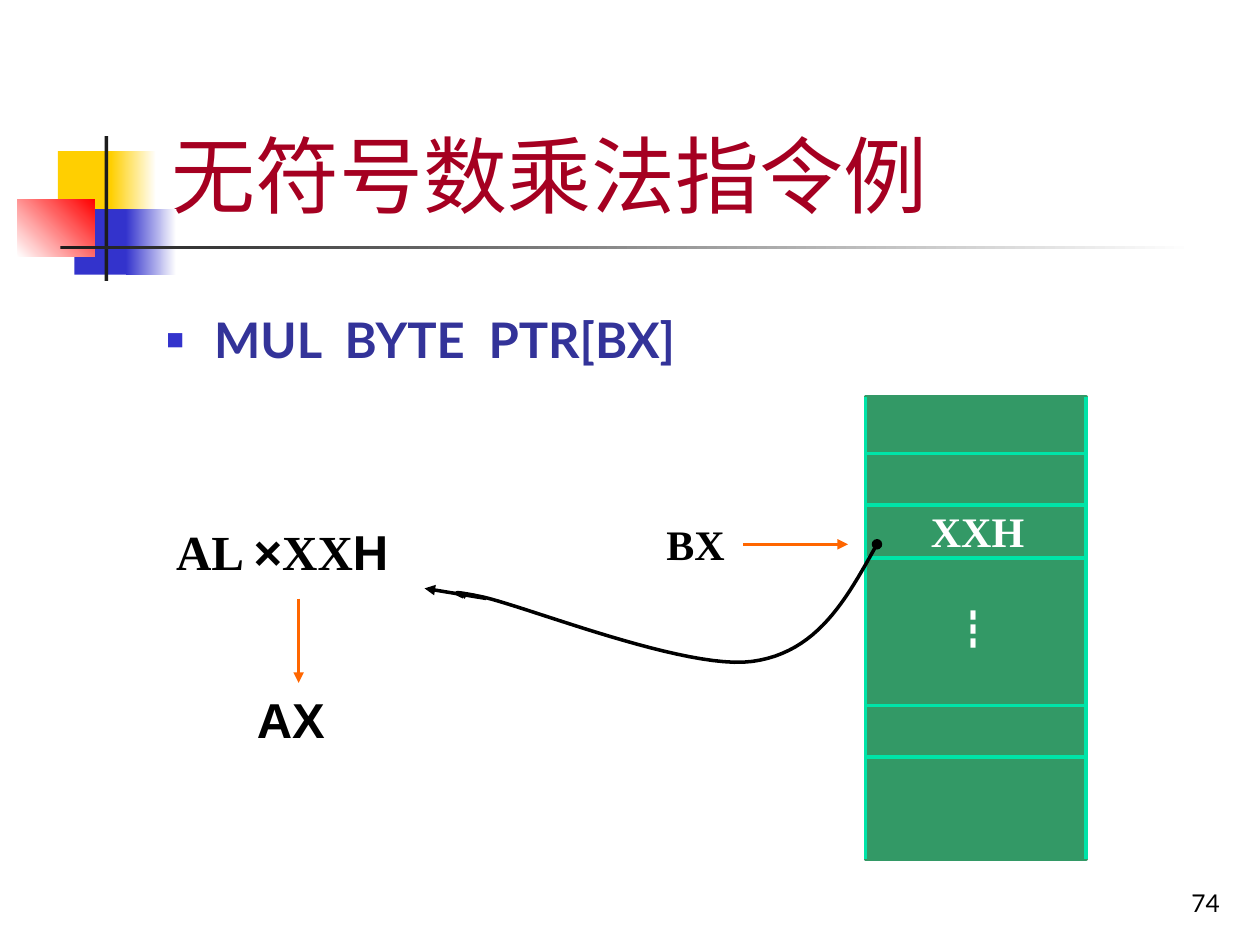
from dataclasses import dataclass

import pptx
import pptx.dml.color
import pptx.enum.shapes
import pptx.enum.text
import pptx.oxml
import pptx.oxml.ns
import pptx.util
from pptx.util import Inches

Align = pptx.enum.text.PP_ALIGN
Anchor = pptx.enum.text.MSO_ANCHOR

BLACK, WHITE, ORANGE = "000000", "FFFFFF", "FF6600"
YELLOW, BLUE, RED, DARK = "FFCF01", "3333CC", "FF0000", "1C1C1C"
MEMORY_GREEN, CELL_LINE = "339966", "00E4A8"
SERIF, SANS, BODY_FONT = "Times New Roman", "Arial", "Lato"


@dataclass
class Block:
    left: float
    top: float
    width: float
    height: float
    color: str
    end_color: str = ""
    angle: float = 0


@dataclass
class Label:
    left: float
    top: float
    width: float
    height: float
    runs: list[tuple[str, str]]  # text and font name
    size: int
    color: str = BLACK
    bold: bool = True
    align: Align = Align.LEFT
    anchor: Anchor = Anchor.TOP


@dataclass
class Line:
    start: tuple[float, float]
    end: tuple[float, float]
    color: str
    arrow: bool = False


DECORATION = [
    Block(0.46, 1.2, 0.48, 0.52, YELLOW),
    Block(0.88, 1.2, 0.36, 0.52, YELLOW, WHITE),
    Block(0.59, 1.66, 0.46, 0.52, BLUE),
    Block(1, 1.66, 0.4, 0.52, BLUE, WHITE),
    Block(0.14, 1.58, 0.61, 0.46, WHITE, RED, 45),
    Block(0.83, 1.08, 0.03, 1.15, DARK),
    Block(0.48, 1.95, 9, 0.03, DARK, WHITE),
]
MEMORY = Block(6.87, 3.15, 1.75, 3.67, MEMORY_GREEN)
CELL_BORDERS = [3.6, 4.01, 4.43, 5.6, 6.01]
LABELS = [
    Label(7.46, 4.74, 0.67, 0.5, [("┇", "Noto Sans CJK SC")], 24, WHITE),
    Label(5.19, 4.07, 0.83, 0.5, [("BX", SERIF)], 24),
    Label(7.29, 3.96, 1.17, 0.5, [("XXH", SERIF)], 24, WHITE),
    Label(1.3, 4.09, 2.17, 0.57,
          [("AL ", SERIF), ("×", SANS), ("XX", SERIF), ("H", SANS)], 28),
    Label(1.94, 5.42, 0.83, 0.57, [("AX", SANS)], 28),
    Label(7.7, 6.83, 2.08, 0.5, [("74", BODY_FONT)], 14, bold=False,
          align=Align.RIGHT, anchor=Anchor.BOTTOM),
]
ARROWS = [
    Line((5.9, 4.32), (6.73, 4.32), ORANGE, True),
    Line((3.86, 4.75), (3.37, 4.67), BLACK, True),
    Line((2.37, 4.75), (2.37, 5.42), ORANGE, True),
]
CURVE_START = (6.96, 4.32)
CURVE_SEGMENTS = [
    ((6.72, 4.75), (6.49, 5.18), (5.97, 5.25)),
    ((5.45, 5.32), (4.22, 4.83), (3.84, 4.74)),
    ((3.46, 4.66), (3.7, 4.74), (3.68, 4.74)),
]


def rgb(color: str) -> pptx.dml.color.RGBColor:
    return pptx.dml.color.RGBColor.from_string(color)


def add_xml(parent, xml: str) -> None:
    """Append a DrawingML element written with the a: prefix."""
    tag, rest = xml[1:].split(" ", 1)
    parent.append(pptx.oxml.parse_xml(f"<{tag} {pptx.oxml.ns.nsdecls('a')} {rest}"))


def style_font(font, name: str, size: int, color: str, bold: bool) -> None:
    font.name, font.size, font.bold = name, pptx.util.Pt(size), bold
    font.color.rgb = rgb(color)


def style_line(line, color: str) -> None:
    line.color.rgb = rgb(color)
    line.width = pptx.util.Pt(2)


def place(shape, left: float, top: float, width: float, height: float) -> None:
    shape.left, shape.top = Inches(left), Inches(top)
    shape.width, shape.height = Inches(width), Inches(height)


def add_block(slide, block: Block):
    shape = slide.shapes.add_shape(
        pptx.enum.shapes.MSO_SHAPE.RECTANGLE, Inches(block.left), Inches(block.top),
        Inches(block.width), Inches(block.height))
    shape.shadow.inherit = False
    shape.line.fill.background()
    if block.end_color:
        shape.fill.gradient()
        shape.fill.gradient_angle = block.angle
        for stop, color in zip(shape.fill.gradient_stops, (block.color, block.end_color)):
            stop.color.rgb = rgb(color)
    else:
        shape.fill.solid()
        shape.fill.fore_color.rgb = rgb(block.color)
    return shape


def add_line(slide, line: Line) -> None:
    connector = slide.shapes.add_connector(
        pptx.enum.shapes.MSO_CONNECTOR.STRAIGHT,
        *(Inches(value) for value in line.start + line.end))
    style_line(connector.line, line.color)
    if line.arrow:
        add_xml(connector.line._get_or_add_ln(), '<a:tailEnd type="triangle"/>')
    add_xml(connector._element.spPr, "<a:effectLst />")


def add_label(slide, label: Label) -> None:
    box = slide.shapes.add_textbox(
        Inches(label.left), Inches(label.top), Inches(label.width), Inches(label.height))
    frame = box.text_frame
    frame.word_wrap = True
    frame.vertical_anchor = label.anchor
    paragraph = frame.paragraphs[0]
    paragraph.alignment = label.align
    for text, font_name in label.runs:
        run = paragraph.add_run()
        run.text = text
        style_font(run.font, font_name, label.size, label.color, label.bold)


def curve_points(steps: int = 24) -> list[tuple[int, int]]:
    """Sample the chain of cubic curves from the memory cell to the operand."""
    points, start = [], CURVE_START
    for first, second, end in CURVE_SEGMENTS:
        for step in range(1, steps + 1):
            t = step / steps
            u = 1 - t
            points.append(tuple(
                Inches(u**3 * a + 3 * u * u * t * b + 3 * u * t * t * c + t**3 * d)
                for a, b, c, d in zip(start, first, second, end)))
        start = end
    return points


def add_curve(slide) -> None:
    builder = slide.shapes.build_freeform(*(Inches(value) for value in CURVE_START))
    builder.add_line_segments(curve_points(), close=False)
    curve = builder.convert_to_shape()
    curve.shadow.inherit = False
    curve.fill.background()
    style_line(curve.line, BLACK)
    add_xml(curve.line._get_or_add_ln(), '<a:headEnd type="oval"/>')


def add_memory(slide) -> None:
    style_line(add_block(slide, MEMORY).line, MEMORY.color)
    right, bottom = MEMORY.left + MEMORY.width, MEMORY.top + MEMORY.height
    for y in CELL_BORDERS:
        add_line(slide, Line((MEMORY.left, y), (right, y), CELL_LINE))
    for x in (MEMORY.left, right):
        add_line(slide, Line((x, MEMORY.top), (x, bottom), CELL_LINE))


def fill_placeholders(slide) -> None:
    title, body = slide.shapes.title, slide.placeholders[1]
    place(title, 1.26, 0.23, 8.52, 1.6)
    place(body, 1.22, 2.36, 5.67, 1.15)
    title.text_frame.text = "无符号数乘法指令例"
    title.text_frame.vertical_anchor = Anchor.BOTTOM
    body.text_frame.text = "MUL  BYTE  PTR[BX]"
    for shape in (title, body):
        shape.text_frame.auto_size = pptx.enum.text.MSO_AUTO_SIZE.NONE
        shape.text_frame.paragraphs[0].alignment = Align.LEFT
    style_font(title.text_frame.paragraphs[0].runs[0].font, BODY_FONT, 48, "A50021", False)

    paragraph = body.text_frame.paragraphs[0]
    paragraph.line_spacing = 1.1
    paragraph.space_before = pptx.util.Pt(0)
    properties = paragraph._p.get_or_add_pPr()
    properties.set("marL", str(Inches(0.38)))
    properties.set("indent", str(Inches(-0.38)))
    add_xml(properties, f'<a:buClr ><a:srgbClr val="{BLUE}"/></a:buClr>')
    add_xml(properties, '<a:buSzPct val="60000"/>')
    add_xml(properties, '<a:buChar char="■"/>')
    style_font(paragraph.runs[0].font, BODY_FONT, 28, "333399", True)


def main() -> None:
    presentation = pptx.Presentation()
    presentation.slide_width, presentation.slide_height = Inches(10), Inches(7.5)
    slide = presentation.slides.add_slide(presentation.slide_layouts[1])
    fill_placeholders(slide)
    for block in DECORATION:
        add_block(slide, block)
    add_memory(slide)
    for label in LABELS:
        add_label(slide, label)
    for arrow in ARROWS:
        add_line(slide, arrow)
    add_curve(slide)
    presentation.save("out.pptx")


if __name__ == "__main__":
    main()
